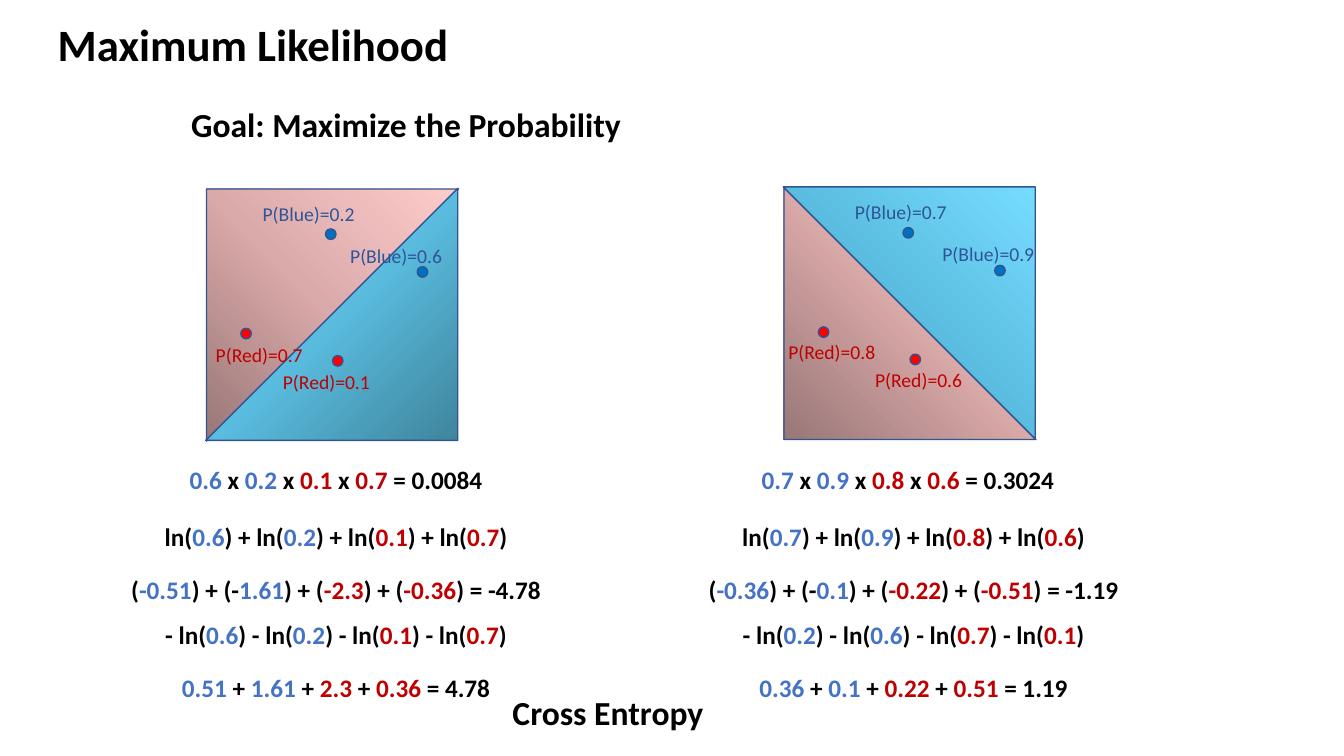
from pptx import Presentation
from pptx.dml.color import RGBColor
from pptx.enum.shapes import MSO_SHAPE
from pptx.enum.text import MSO_ANCHOR, MSO_AUTO_SIZE, PP_ALIGN
from pptx.oxml import parse_xml
from pptx.oxml.ns import nsdecls, qn
from pptx.util import Pt

TRI, DOT = MSO_SHAPE.RIGHT_TRIANGLE, MSO_SHAPE.FLOWCHART_CONNECTOR
LEFT, MID = PP_ALIGN.LEFT, PP_ALIGN.CENTER
TOP, GROW, FIXED = MSO_ANCHOR.TOP, MSO_AUTO_SIZE.SHAPE_TO_FIT_TEXT, MSO_AUTO_SIZE.NONE

HEX = {"black": "000000", "blue": "4472C4", "red": "C00000", "navy": "2F5597",
       "edge": "325491", "bluedot": "0070C0", "reddot": "FF0000"}
PINK = ("997777", "DAA9A9", "FFCCCC")
SKY = ("3F859D", "5ABDE0", "75DBFF")
RADIAL = '<a:path path="circle"><a:fillToRect t="100000" r="100000"/></a:path>'
LINEAR = '<a:lin ang="18900000" scaled="1"/>'

SIDE = 180     # side of a square
DIA = 7.5      # diameter of a dot
DOTS = [(151, 56, "bluedot"), (85.5, 29, "bluedot"),
        (90.5, 119.5, "reddot"), (25, 100, "reddot")]
TAGS = {"Blue": (82, "navy"), "Red": (78, "red")}  # label width and colour

# Formula rows: offset and width, then the text around the four values and the total
ROWS = [(0, 225, "{} x {} x {} x {} = {}"),
        (41, 261, "ln({}) + ln({}) + ln({}) + ln({}){}"),
        (79, 310, "({}) + (-{}) + ({}) + ({}) = {}"),
        (111, 261, "- ln({}) - ln({}) - ln({}) - ln({}){}"),
        (148.5, 246, "{} + {} + {} + {} = {}")]
TONES = ["blue", "blue", "red", "red", "black"]


def rgb(name):
    return RGBColor.from_string(HEX[name])


def write(box, runs, size, bold=True, align=LEFT, fit=GROW):
    frame = box.text_frame
    frame.word_wrap = False
    frame.auto_size = fit
    frame.vertical_anchor = TOP
    para = frame.paragraphs[0]
    para.alignment = align
    for text, tone in runs:
        run = para.add_run()
        run.text = text
        font = run.font
        font.name, font.size, font.bold = "Calibri", Pt(size), bold
        font.color.rgb = rgb(tone)


def label(slide, x, y, w, h, runs, size, **style):
    box = slide.shapes.add_textbox(Pt(x), Pt(y), Pt(w), Pt(h))
    write(box, runs, size, **style)


def shape(slide, kind, x, y, size):
    item = slide.shapes.add_shape(kind, Pt(x), Pt(y), Pt(size), Pt(size))
    item.shadow.inherit = False
    item.line.color.rgb = rgb("edge")
    item.line.width = Pt(1)
    return item


def wedge(slide, x, y, turn, tones, path, spin):
    """Right triangle with a three-stop gradient."""
    item = shape(slide, TRI, x, y, SIDE)
    item.rotation = turn
    item.fill.background()
    stops = "".join(f'<a:gs pos="{n * 50000}"><a:srgbClr val="{tone}"/></a:gs>'
                    for n, tone in enumerate(tones))
    grad = parse_xml(f'<a:gradFill rotWithShape="{spin}" {nsdecls("a")}>'
                     f'<a:gsLst>{stops}</a:gsLst>{path}</a:gradFill>')
    props = item._element.spPr
    props.replace(props.find(qn("a:noFill")), grad)


def square(slide, x, y, turns, path, spin, tags):
    """Two triangles with four dots and their probabilities."""
    wedge(slide, x + 0.5, y + 0.5, turns[0], PINK, RADIAL, 0)
    wedge(slide, x, y, turns[1], SKY, path, spin)
    for dx, dy, tone in DOTS:
        dot = shape(slide, DOT, x + dx, y + dy, DIA)
        dot.fill.solid()
        dot.fill.fore_color.rgb = rgb(tone)
    for dx, dy, name, value in tags:
        wide, tone = TAGS[name]
        label(slide, x + dx, y + dy, wide, 24, [(f"P({name})={value}", tone)],
              14, bold=False)


def sums(slide, mid, y, nudge, table):
    """Formula rows centred on mid; nudge shifts the first row."""
    for n, ((dy, wide, form), values) in enumerate(zip(ROWS, table)):
        parts = form.split("{}")
        runs = []
        for part, value, tone in zip(parts, values.split(), TONES):
            runs += [(part, "black"), (value, tone)]
        if n in (1, 3):  # no total, only the closing bracket
            runs.append((parts[4], "black"))
        runs = [run for run in runs if run[0]]
        x = mid - wide / 2 + (nudge if n == 0 else 0)
        label(slide, x, y + dy, wide, 29, runs, 18, align=MID)


def heads(slide):
    title = slide.shapes.title
    title.left, title.top, title.width, title.height = Pt(34), Pt(8.5), Pt(296), Pt(46)
    write(title, [("Maximum Likelihood", "black")], 32, fit=FIXED)
    label(slide, 129.5, 70.5, 325, 36, [("Goal: Maximize the Probability", "black")], 24)
    label(slide, 359, 491, 153, 36, [("Cross Entropy", "black")], 24)


def main():
    deck = Presentation()
    deck.slide_width, deck.slide_height = Pt(960), Pt(540)
    slide = deck.slides.add_slide(deck.slide_layouts[5])
    heads(slide)

    # Weak model
    square(slide, 147, 134.5, (90, 270), LINEAR, 1,
           [(96, 36, "Blue", 0.6), (33.5, 6.5, "Blue", 0.2),
            (48, 126, "Red", 0.1), (0, 107, "Red", 0.7)])
    sums(slide, 240, 328, 0,
         ["0.6 0.2 0.1 0.7 0.0084", "0.6 0.2 0.1 0.7",
          "-0.51 1.61 -2.3 -0.36 -4.78", "0.6 0.2 0.1 0.7",
          "0.51 1.61 2.3 0.36 4.78"])

    # Strong model
    square(slide, 559.5, 133.5, (0, 180), RADIAL, 0,
           [(106.5, 35.5, "Blue", 0.9), (44, 6, "Blue", 0.7),
            (58.5, 125.5, "Red", 0.6), (-3.5, 105.5, "Red", 0.8)])
    sums(slide, 652.5, 328, -4,
         ["0.7 0.9 0.8 0.6 0.3024", "0.7 0.9 0.8 0.6",
          "-0.36 0.1 -0.22 -0.51 -1.19", "0.2 0.6 0.7 0.1",
          "0.36 0.1 0.22 0.51 1.19"])

    deck.save("out.pptx")


if __name__ == "__main__":
    main()
